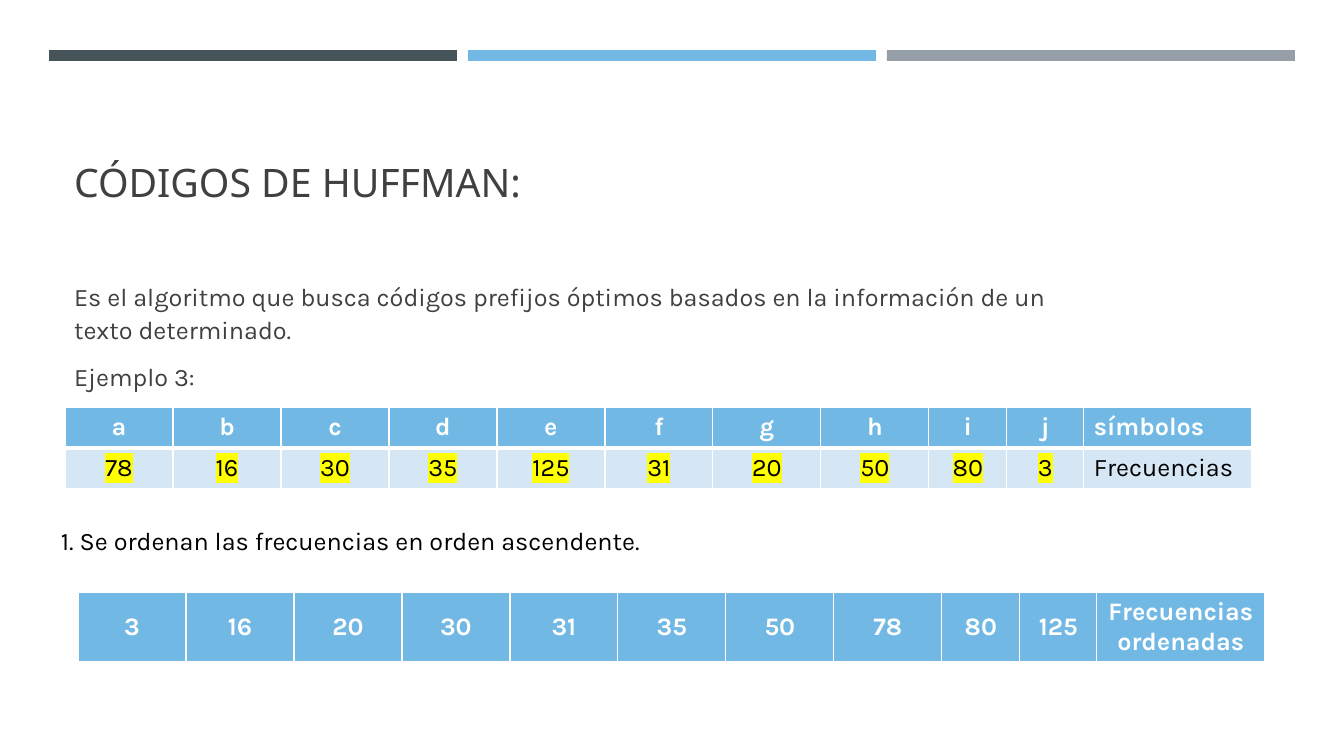
"""Build the Huffman codes slide with its two frequency tables."""
from lxml import etree
from pptx import Presentation, util as u
from pptx.dml.color import RGBColor
from pptx.enum import shapes, text
from pptx.oxml import ns

DARK = RGBColor(0x46, 0x53, 0x59)
BLUE = RGBColor(0x71, 0xB9, 0xE4)
GRAY = RGBColor(0x96, 0x9F, 0xA7)
PALE = RGBColor(0xD5, 0xE6, 0xF5)
INK = RGBColor(0x40, 0x40, 0x40)
BLACK = RGBColor(0, 0, 0)
WHITE = RGBColor(255, 255, 255)
YELLOW = RGBColor(255, 255, 0)

TITLE = "CÓDIGOS DE HUFFMAN:"
BODY = [
    "Es el algoritmo que busca códigos prefijos óptimos basados en la "
    "información de un texto determinado.",
    "Ejemplo 3:",
]
STEP = "1. Se ordenan las frecuencias en orden ascendente."
FREQS = dict(a=78, b=16, c=30, d=35, e=125, f=31, g=20, h=50, i=80, j=3)
COUNTS = [
    [*FREQS, "símbolos"],
    [*FREQS.values(), "Frecuencias"],
]
SORTED = [[*sorted(FREQS.values()), "Frecuencias\nordenadas"]]
COLS = [108] * 8 + [78, 77, 168]
BARS = [DARK, BLUE, GRAY]

PX = 914400 / 100.8
MID, TOP = text.MSO_ANCHOR.MIDDLE, text.MSO_ANCHOR.TOP
LEFT, CENTER = text.PP_ALIGN.LEFT, text.PP_ALIGN.CENTER


def px(*nums):
    return [round(n * PX) for n in nums]


def place(shape, *box):
    shape.left, shape.top, shape.width, shape.height = px(*box)


def style(frame, color, size=18, font="Karla", bold=False):
    for para in frame.paragraphs:
        for run in para.runs:
            run.font.size = u.Pt(size)
            run.font.name = font
            run.font.bold = bold
            run.font.color.rgb = color


def tint(node, color):
    fill = etree.SubElement(node, ns.qn("a:solidFill"))
    etree.SubElement(fill, ns.qn("a:srgbClr"), val=str(color))


def mark(run):
    light = etree.Element(ns.qn("a:highlight"))
    etree.SubElement(light, ns.qn("a:srgbClr"), val=str(YELLOW))
    run.font._element.find(ns.qn("a:solidFill")).addnext(light)


def edge(cell, top, bottom):
    props = cell._tc.get_or_add_tcPr()
    for spot, (side, width) in enumerate(zip("LRTB", (1, 1, top, bottom))):
        line = etree.Element(ns.qn("a:ln" + side), w=str(u.Pt(width)))
        tint(line, WHITE)
        props.insert(spot, line)


def grid(slide, rows, left, top, tall, anchor, last):
    box = px(left, top, sum(COLS), tall * len(rows))
    table = slide.shapes.add_table(len(rows), len(COLS), *box).table
    for col, wide in zip(table.columns, px(*COLS)):
        col.width = wide
    for r, row in enumerate(rows):
        head = r == 0
        table.rows[r].height = px(tall)[0]
        for c, value in enumerate(row):
            cell = table.cell(r, c)
            end = c == len(row) - 1
            frame = cell.text_frame
            frame.text = str(value)
            style(frame, WHITE if head else BLACK, bold=head)
            for para in frame.paragraphs:
                para.alignment = last if end else CENTER
            if not head and not end:
                mark(frame.paragraphs[0].runs[0])
            cell.vertical_anchor = anchor
            cell.fill.solid()
            cell.fill.fore_color.rgb = BLUE if head else PALE
            edge(cell, 1 if head else 3, 3 if head else 1)


def main():
    deck = Presentation()
    deck.slide_width, deck.slide_height = px(1344, 756)
    slide = deck.slides.add_slide(deck.slide_layouts[1])

    for n, color in enumerate(BARS):
        box = px(49 + 419 * n, 50, 408, 11)
        bar = slide.shapes.add_shape(shapes.MSO_SHAPE.RECTANGLE, *box)
        bar.shadow.inherit = False
        bar.fill.solid()
        bar.fill.fore_color.rgb = color
        bar.line.fill.background()

    title = slide.shapes.title
    place(title, 64, 78, 1216, 132)
    frame = title.text_frame
    frame.text = TITLE
    frame.vertical_anchor = text.MSO_ANCHOR.BOTTOM
    frame.auto_size = text.MSO_AUTO_SIZE.NONE
    frame.paragraphs[0].alignment = LEFT
    style(frame, INK, 28, "Noto Sans")

    body = slide.placeholders[1]
    place(body, 64, 228, 1007, 214)
    frame = body.text_frame
    frame.text = "\n".join(BODY)
    frame.vertical_anchor = MID
    frame.auto_size = text.MSO_AUTO_SIZE.NONE
    style(frame, INK)
    for para in frame.paragraphs:
        para.line_spacing = 1.1
        para.space_before = u.Pt(3.6)
        para.space_after = u.Pt(6)
        props = para._p.get_or_add_pPr()
        props.set("marL", "0")
        props.set("indent", "0")
        etree.SubElement(props, ns.qn("a:buNone"))

    step = slide.shapes.add_textbox(*px(51, 520, 1161, 40))
    step.text_frame.word_wrap = True
    step.text_frame.text = STEP
    style(step.text_frame, BLACK)

    grid(slide, COUNTS, 65, 407, 41, TOP, LEFT)
    grid(slide, SORTED, 78, 592, 69, MID, CENTER)
    deck.save("out.pptx")


main()
